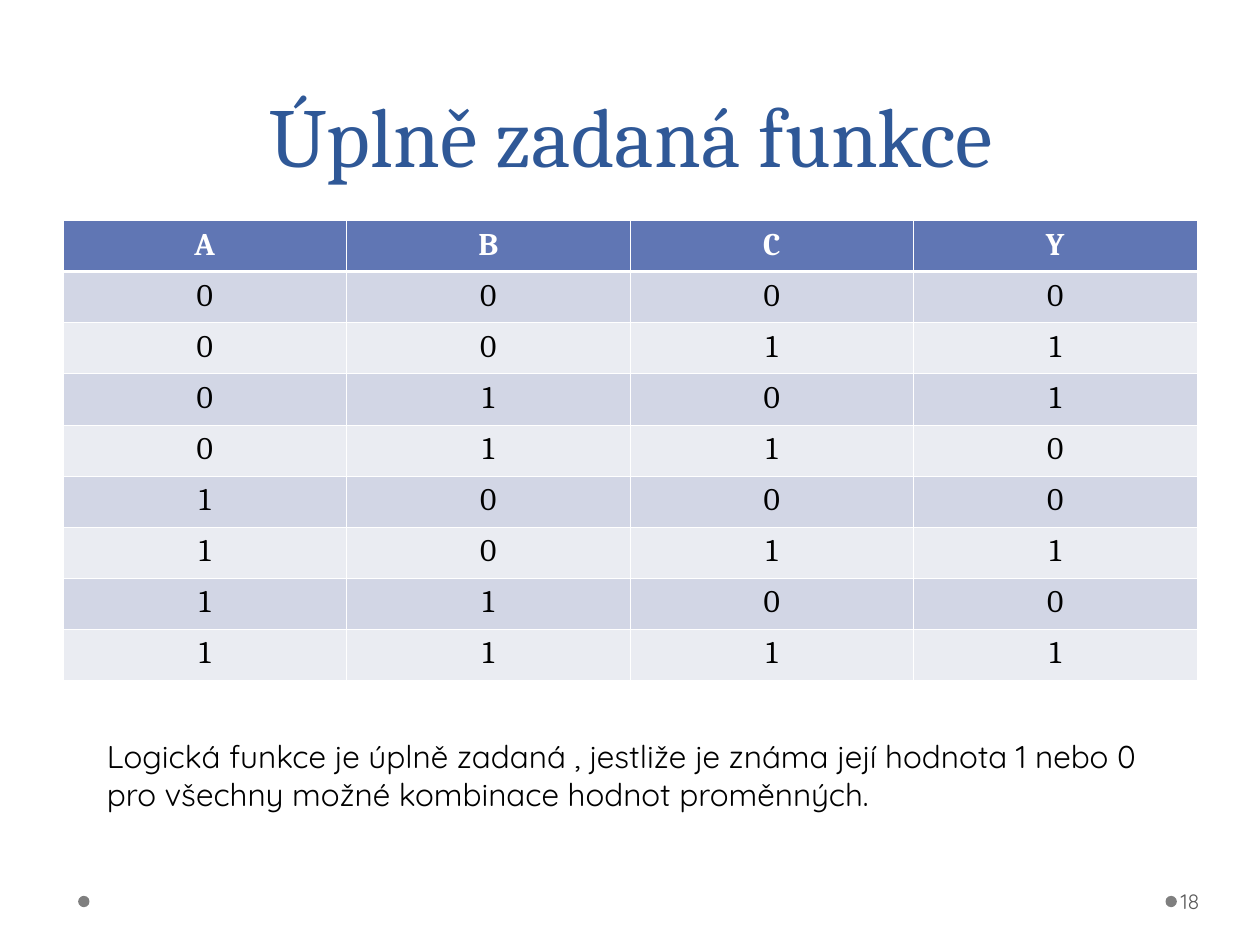
from itertools import product

from lxml import etree
from pptx import Presentation
from pptx.dml.color import RGBColor as RGB
from pptx.enum.shapes import MSO_SHAPE as SHAPE
from pptx.enum.text import MSO_ANCHOR as ANCHOR, PP_ALIGN as ALIGN
from pptx.oxml.ns import qn
from pptx.util import Inches, Pt

COLORS = {
    "title": "2F5897", "header": "6076B4", "band_dark": "D2D6E5",
    "band_light": "EAECF2", "white": "FFFFFF", "black": "000000",
    "dot": "7F7F7F", "number": "595959",
}
SERIF, SANS = "Cambria", "Quicksand"


def color(name):
    return RGB.from_string(COLORS[name])


def write(tf, text, font=SANS, size=18, fill="black", bold=False,
          align=ALIGN.LEFT, anchor=ANCHOR.TOP, spacing=None):
    tf.word_wrap = True
    tf.vertical_anchor = anchor
    p = tf.paragraphs[0]
    p.alignment = align
    if spacing:
        p.line_spacing = Pt(spacing)
    r = p.add_run()
    r.text = text
    r.font.name, r.font.size, r.font.bold = font, Pt(size), bold
    r.font.color.rgb = color(fill)


def border(cell, side, width):
    ln = etree.SubElement(cell._tc.get_or_add_tcPr(), qn(f"a:ln{side}"),
                          w=str(Pt(width)))
    fill = etree.SubElement(ln, qn("a:solidFill"))
    etree.SubElement(fill, qn("a:srgbClr"), val=COLORS["white"])


class SlideBuilder:
    def __init__(self, prs):
        self.s = prs.slides.add_slide(prs.slide_layouts[5])
        bg = self.s.background.fill
        bg.solid()
        bg.fore_color.rgb = color("white")

    def dot(self, x, y, size=0.09):
        sp = self.s.shapes.add_shape(SHAPE.OVAL, Inches(x), Inches(y),
                                     Inches(size), Inches(size))
        sp.shadow.inherit = False
        sp.fill.solid()
        sp.fill.fore_color.rgb = color("dot")
        sp.line.fill.background()

    def title(self, text, x, y, w, h):
        sp = self.s.shapes.title
        sp.left, sp.top, sp.width, sp.height = map(Inches, (x, y, w, h))
        write(sp.text_frame, text, font=SERIF, size=48, fill="title",
              align=ALIGN.CENTER, anchor=ANCHOR.BOTTOM, spacing=58)

    def text(self, text, x, y, w, h, left=0.1, right=0.1, **fmt):
        sp = self.s.shapes.add_textbox(*map(Inches, (x, y, w, h)))
        tf = sp.text_frame
        tf.margin_left, tf.margin_right = Inches(left), Inches(right)
        write(tf, text, **fmt)

    def table(self, rows, x, y, w, h):
        table = self.s.shapes.add_table(
            len(rows), len(rows[0]), *map(Inches, (x, y, w, h))).table
        for i, row in enumerate(rows):
            table.rows[i].height = Inches(h / len(rows))
            header = i == 0
            band = "header" if header else "band_dark" if i % 2 else "band_light"
            for j, value in enumerate(row):
                cell = table.cell(i, j)
                write(cell.text_frame, str(value), font=SERIF, bold=header,
                      fill="white" if header else "black", align=ALIGN.CENTER)
                # A thicker rule separates the header from the body
                for side in "LRTB":
                    thick = (i, side) in ((0, "B"), (1, "T"))
                    border(cell, side, 1.47 if thick else 0.45)
                cell.fill.solid()
                cell.fill.fore_color.rgb = color(band)


def main():
    prs = Presentation()
    prs.slide_width, prs.slide_height = Inches(10), Inches(7.5)
    slide = SlideBuilder(prs)

    # Footer dots
    for x in (9.25, 0.62):
        slide.dot(x, 7.11)

    slide.title("Úplně zadaná funkce", 0.51, 0.6, 9, 0.91)

    # Truth table: every input combination with its output
    outputs = (0, 1, 1, 0, 0, 1, 0, 1)
    inputs = product((0, 1), repeat=3)
    rows = ["ABCY"] + [(*abc, y) for abc, y in zip(inputs, outputs)]
    slide.table(rows, 0.5, 1.75, 9, 3.65)

    # Definition
    slide.text("Logická funkce je úplně zadaná , jestliže je známa její hodnota "
               "1 nebo 0 pro všechny možné kombinace hodnot proměnných.",
               0.75, 5.8, 8.58, 0.7)

    # Slide number
    slide.text("18", 9.34, 6.95, 0.61, 0.4, left=0.03, right=0.05,
               size=12, fill="number", anchor=ANCHOR.MIDDLE)

    prs.save("out.pptx")


if __name__ == "__main__":
    main()
